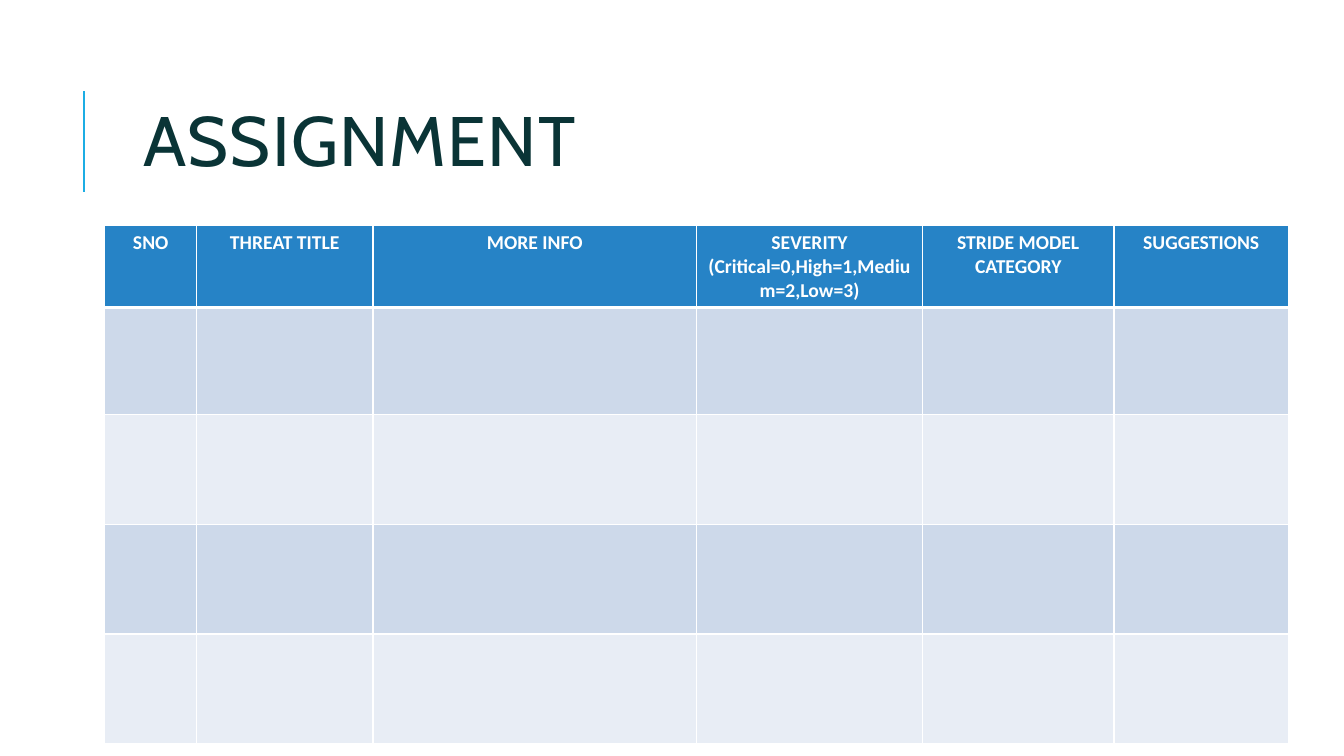
from lxml.etree import SubElement
from pptx import Presentation
from pptx.dml.color import RGBColor
from pptx.enum.shapes import MSO_CONNECTOR, MSO_SHAPE
from pptx.enum.text import MSO_ANCHOR, PP_ALIGN
from pptx.oxml.ns import qn
from pptx.util import Inches, Pt


def rgb(color):
    return RGBColor.from_string(color)


def add_border(cell, side, width):
    ln = SubElement(cell._tc.get_or_add_tcPr(), qn(f"a:{side}"), w=str(Pt(width)))
    fill = SubElement(ln, qn("a:solidFill"))
    SubElement(fill, qn("a:srgbClr"), val="FFFFFF")


prs = Presentation()
prs.slide_width = Inches(13.33)
prs.slide_height = Inches(7.5)
s = prs.slides.add_slide(prs.slide_layouts[6])

accent = s.shapes.add_connector(
    MSO_CONNECTOR.STRAIGHT, Inches(0.83), Inches(1.9), Inches(0.83), Inches(0.9))
accent.line.color.rgb = rgb("1CADE4")
accent.line.width = Pt(1.5)
SubElement(accent._element.spPr, qn("a:effectLst"))

headers = ["SNO", "THREAT TITLE", "MORE INFO",
           "SEVERITY\n(Critical=0,High=1,Medium=2,Low=3)",
           "STRIDE MODEL CATEGORY", "SUGGESTIONS"]
widths = [0.91, 1.75, 3.21, 2.24, 1.9, 1.73]
heights = [0.81, 1.06, 1.09, 1.09, 1.09]
fills = ["2683C6", "CDD9EA", "E8EDF5", "CDD9EA", "E8EDF5"]

table = s.shapes.add_table(
    len(heights), len(widths), Inches(1.04), Inches(2.24),
    Inches(sum(widths)), Inches(sum(heights))).table
for column, width in zip(table.columns, widths):
    column.width = Inches(width)
for i, (row, height, fill) in enumerate(zip(table.rows, heights, fills)):
    row.height = Inches(height)
    for cell, header in zip(row.cells, headers):
        for side in ("lnL", "lnR", "lnT", "lnB"):
            thick = (i == 0 and side == "lnB") or (i == 1 and side == "lnT")
            add_border(cell, side, 3 if thick else 1)
        cell.fill.solid()
        cell.fill.fore_color.rgb = rgb(fill)
        if i == 0:
            cell.text = header
            for p in cell.text_frame.paragraphs:
                p.alignment = PP_ALIGN.CENTER
                p.font.name = "Calibri"
                p.font.size = Pt(14)
                p.font.bold = True
                p.font.color.rgb = rgb("FFFFFF")

title = s.shapes.add_shape(
    MSO_SHAPE.RECTANGLE, Inches(1.12), Inches(0.62), Inches(10.63), Inches(1.41))
title.shadow.inherit = False
title.fill.solid()
title.fill.fore_color.rgb = rgb("FFFFFF")
color = title._element.spPr.find(qn("a:solidFill")).find(qn("a:srgbClr"))
SubElement(color, qn("a:alpha"), val="90000")
title.line.color.rgb = rgb("FFFFFF")
title.line.width = Pt(3)
tf = title.text_frame
tf.word_wrap = True
tf.vertical_anchor = MSO_ANCHOR.TOP
tf.margin_left = tf.margin_right = Inches(0.3)
tf.margin_top = Inches(0.5)
tf.margin_bottom = Inches(0.05)
p = tf.paragraphs[0]
p.alignment = PP_ALIGN.LEFT
p.line_spacing = 0.8
r = p.add_run()
r.text = "ASSIGNMENT"
p.font.name = "Cabin"
p.font.size = Pt(50)
p.font.color.rgb = rgb("0A3436")
r.font._element.set("spc", "100")

prs.save("out.pptx")
